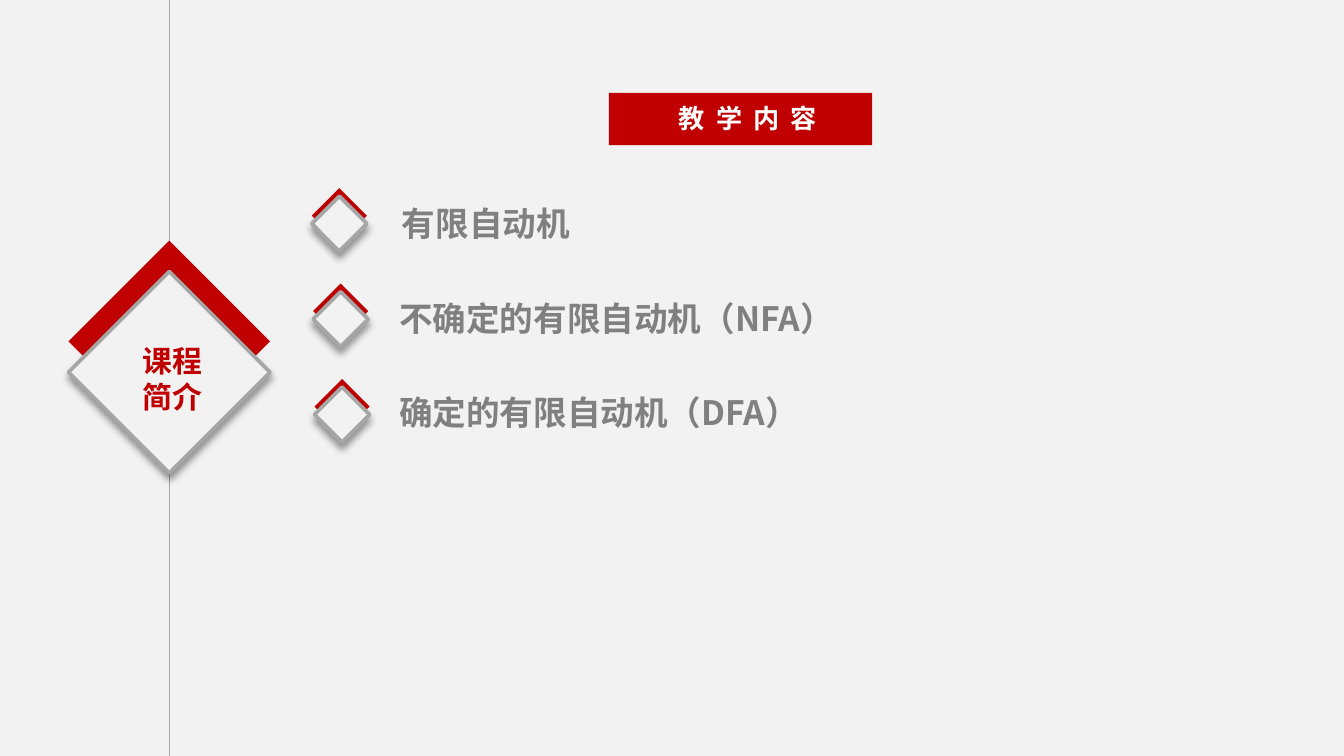
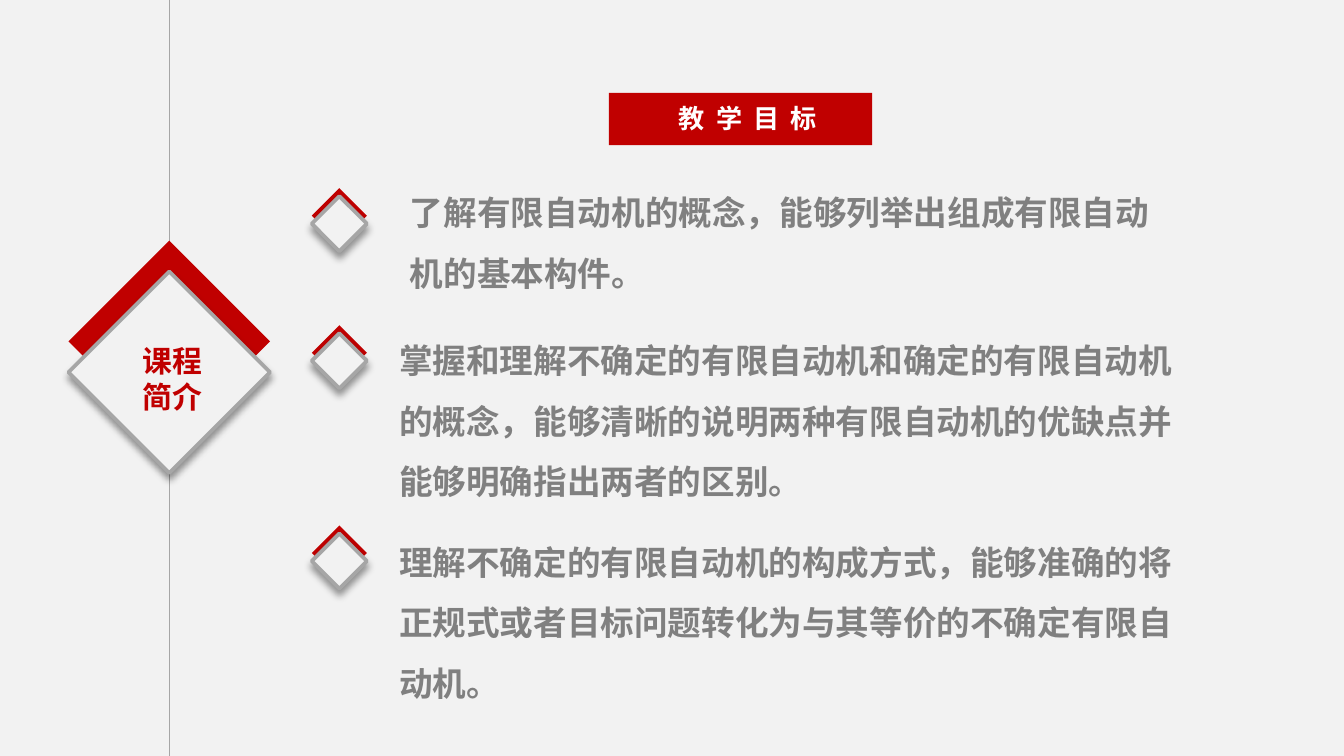
from lxml.etree import SubElement
from pptx import Presentation
from pptx.dml.color import RGBColor
from pptx.enum.shapes import MSO_CONNECTOR, MSO_SHAPE
from pptx.enum.text import MSO_ANCHOR, MSO_AUTO_SIZE, PP_ALIGN
from pptx.oxml.ns import qn
from pptx.util import Inches, Pt

RED = RGBColor(0xC0, 0x00, 0x00)
PALE = RGBColor(0xF2, 0xF2, 0xF2)
SILVER = RGBColor(0xA6, 0xA6, 0xA6)
GRAY = RGBColor(0x80, 0x80, 0x80)
WHITE = RGBColor(0xFF, 0xFF, 0xFF)
FONT = "Noto Sans CJK SC"
W = 10
H = W * 9 / 16
SECTION = ["课程", "简介"]

# title, then items: text, text box, line spacing, marker left and top
SLIDES = [
    ("教学内容", [
        ("有限自动机", (2.42, 1.47, 3.52, 0.37), 1, (2.32, 1.4)),
        ("不确定的有限自动机（NFA）", (2.4, 2.03, 6.45, 0.5), 1.5, (2.33, 2.11)),
        ("确定的有限自动机（DFA）", (2.4, 2.73, 6.45, 0.5), 1.5, (2.34, 2.82)),
    ]),
    ("教学目标", [
        ("了解有限自动机的概念，能够列举出组成有限自动机的基本构件。",
         (2.48, 1.24, 6.28, 0.96), 1.5, (2.32, 1.4)),
        ("掌握和理解不确定的有限自动机和确定的有限自动机的概念，"
         "能够清晰的说明两种有限自动机的优缺点并能够明确指出两者的区别。",
         (2.4, 2.34, 6.45, 1.41), 1.5, (2.32, 2.42)),
        ("理解不确定的有限自动机的构成方式，能够准确的将正规式或者目标问题"
         "转化为与其等价的不确定有限自动机。",
         (2.4, 3.84, 6.45, 1.41), 1.5, (2.32, 3.91)),
    ]),
]


def inches(box):
    return [Inches(v) for v in box]


def style(p, size, color, spacing=None):
    p.font.size, p.font.bold, p.font.name = Pt(size), True, FONT
    p.font.color.rgb = color
    rPr = p.font._rPr
    SubElement(rPr, qn("a:ea"), typeface=FONT)
    if spacing:
        rPr.set("spc", str(spacing * 100))


def set_insets(tf):
    tf.margin_left = tf.margin_right = Inches(0.07)
    tf.margin_top = tf.margin_bottom = Inches(0.04)


def add_text(s, box, lines, size, color, wrap=True):
    tf = s.shapes.add_textbox(*inches(box)).text_frame
    set_insets(tf)
    tf.word_wrap = wrap
    tf.auto_size = MSO_AUTO_SIZE.SHAPE_TO_FIT_TEXT
    tf.text = "\n".join(lines)
    for p in tf.paragraphs:
        style(p, size, color)
    return tf


def add_fill(shapes, kind, box, color):
    sp = shapes.add_shape(kind, *inches(box))
    sp.shadow.inherit = False
    sp.fill.solid()
    sp.fill.fore_color.rgb = color
    sp.line.fill.background()
    return sp


def add_marker(shapes, left, top, size, drop):
    kind = MSO_SHAPE.FLOWCHART_DECISION
    add_fill(shapes, kind, (left, top, size, size), RED)
    sp = add_fill(shapes, kind, (left, top + drop, size, size), PALE)
    sp.line.color.rgb = SILVER
    sp.line.width = Pt(2)
    effects = sp._element.spPr.find(qn("a:effectLst"))
    shadow = SubElement(effects, qn("a:outerShdw"), blurRad=str(Pt(4)),
                        dist=str(Pt(3)), dir="5400000", algn="t", rotWithShape="0")
    black = SubElement(shadow, qn("a:srgbClr"), val="000000")
    SubElement(black, qn("a:alpha"), val="40000")


def add_section(s):
    rule = s.shapes.add_connector(MSO_CONNECTOR.STRAIGHT, *inches((1.26, 0, 1.26, H)))
    rule.line.color.rgb = SILVER
    rule.line.width = Pt(0.75)
    SubElement(rule._element.spPr, qn("a:effectLst"))
    add_marker(s.shapes, 0.51, 1.79, 1.5, 0.23)
    tf = add_text(s, (0.99, 2.51, 0.59, 0.61), SECTION, 16, RED, wrap=False)
    for p in tf.paragraphs:
        p.alignment = PP_ALIGN.CENTER


def add_title(s, text):
    add_fill(s.shapes, MSO_SHAPE.RECTANGLE, (4.53, 0.69, 1.96, 0.39), RED)
    title = s.shapes.title
    s.shapes._spTree.append(title._element)
    title.left, title.top, title.width, title.height = inches((4.65, 0.69, 1.83, 0.38))
    tf = title.text_frame
    set_insets(tf)
    tf.word_wrap = True
    tf.auto_size = MSO_AUTO_SIZE.NONE
    tf.vertical_anchor = MSO_ANCHOR.MIDDLE
    tf.text = text
    p = tf.paragraphs[0]
    p.alignment = PP_ALIGN.CENTER
    style(p, 14, WHITE, spacing=6)


def add_item(s, text, box, line_spacing, marker):
    p = add_text(s, box, [text], 18, GRAY).paragraphs[0]
    p.level = 1
    p.line_spacing = line_spacing
    pPr = p._p.get_or_add_pPr()
    pPr.set("marL", str(Inches(0.5)))
    pPr.set("indent", "0")
    add_marker(s.shapes.add_group_shape().shapes, *marker, 0.41, 0.06)


def main():
    """Build the two course introduction slides."""
    prs = Presentation()
    prs.slide_width, prs.slide_height = inches((W, H))
    for title, items in SLIDES:
        s = prs.slides.add_slide(prs.slide_layouts[5])
        s.background.fill.solid()
        s.background.fill.fore_color.rgb = PALE
        add_section(s)
        add_title(s, title)
        for item in items:
            add_item(s, *item)
    prs.save("out.pptx")


if __name__ == "__main__":
    main()
